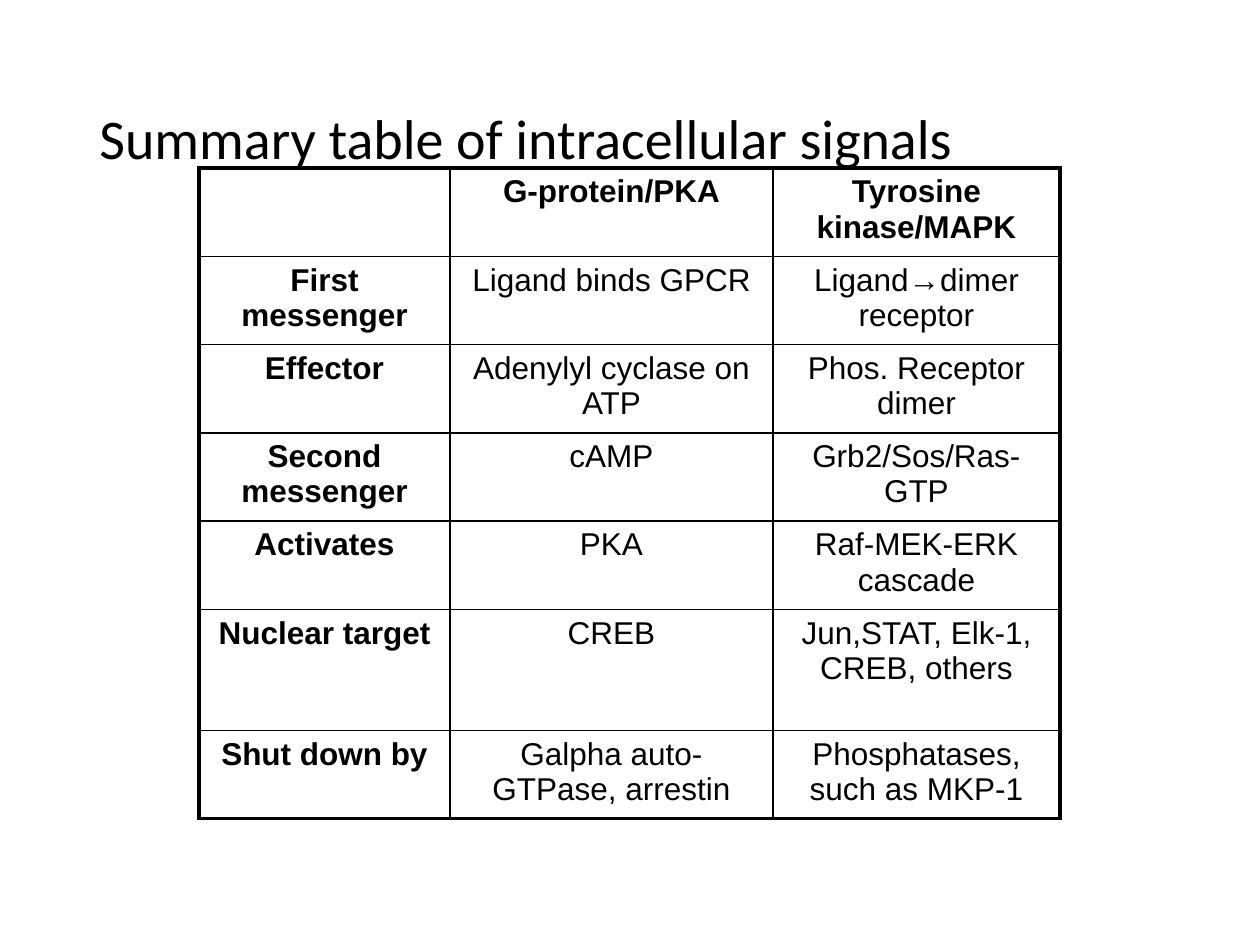
from lxml import etree
from pptx import Presentation
from pptx.dml.color import RGBColor
from pptx.enum.text import MSO_ANCHOR, PP_ALIGN
from pptx.oxml.ns import qn
from pptx.util import Pt

LEFT, CENTER = PP_ALIGN.LEFT, PP_ALIGN.CENTER
MIDDLE = MSO_ANCHOR.MIDDLE

# Content
TITLE = "Summary table of intracellular signals"
ROWS = [
    ("", "G-protein/PKA", "Tyrosine kinase/MAPK"),
    ("First messenger", "Ligand binds GPCR", "Ligand→dimer receptor"),
    ("Effector", "Adenylyl cyclase on ATP", "Phos. Receptor dimer"),
    ("Second messenger", "cAMP", "Grb2/Sos/Ras-GTP"),
    ("Activates", "PKA", "Raf-MEK-ERK cascade"),
    ("Nuclear target", "CREB", "Jun,STAT, Elk-1, CREB, others"),
    ("Shut down by", "Galpha auto-GTPase, arrestin", "Phosphatases, such as MKP-1"),
]
COLORS = {"ink": "000000"}

# Layout in px, 126 to the inch
WIDTHS = [251, 323, 287]
HEIGHTS = [88, 88, 88, 88, 88, 121, 88]
THIN, THICK = Pt(1), Pt(2.25)


def px(n):
    return round(n * 914400 / 126)


def write(frame, text, size=18, font="Arial", bold=False, align=CENTER, gap=1.0):
    para = frame.paragraphs[0]
    para.alignment = align
    para.line_spacing = gap
    run = para.add_run()
    run.text = text
    run.font.size = Pt(size)
    run.font.name = font
    run.font.bold = bold
    run.font.color.rgb = RGBColor.from_string(COLORS["ink"])


def edge(cell, widths):
    props = cell._tc.get_or_add_tcPr()
    for spot, (side, width) in enumerate(widths.items()):
        line = etree.Element(qn("a:ln" + side), w=str(width))
        fill = etree.SubElement(line, qn("a:solidFill"))
        etree.SubElement(fill, qn("a:srgbClr"), val=COLORS["ink"])
        props.insert(spot, line)


deck = Presentation()
deck.slide_width, deck.slide_height = px(1260), px(945)
slide = deck.slides.add_slide(deck.slide_layouts[6])

# Title
box = slide.shapes.add_textbox(px(87), px(50), px(1086), px(183))
box.text_frame.word_wrap = True
box.text_frame.vertical_anchor = MIDDLE
write(box.text_frame, TITLE, size=32, font="Calibri", align=LEFT, gap=0.9)

# Table
table = slide.shapes.add_table(
    len(ROWS), len(WIDTHS), px(199), px(168), px(sum(WIDTHS)), px(sum(HEIGHTS))
).table
table.first_row = table.horz_banding = False
for col, width in zip(table.columns, WIDTHS):
    col.width = px(width)
for row, height in zip(table.rows, HEIGHTS):
    row.height = px(height)

# Cells: bold heads, thick outer frame
last, end = len(ROWS) - 1, len(WIDTHS) - 1
for r, texts in enumerate(ROWS):
    for c, text in enumerate(texts):
        cell = table.cell(r, c)
        cell.fill.background()
        if text:
            write(cell.text_frame, text, bold=r == 0 or c == 0)
        outer = {"L": c == 0, "R": c == end, "T": r == 0, "B": r == last}
        edge(cell, {side: THICK if out else THIN for side, out in outer.items()})

deck.save("out.pptx")
